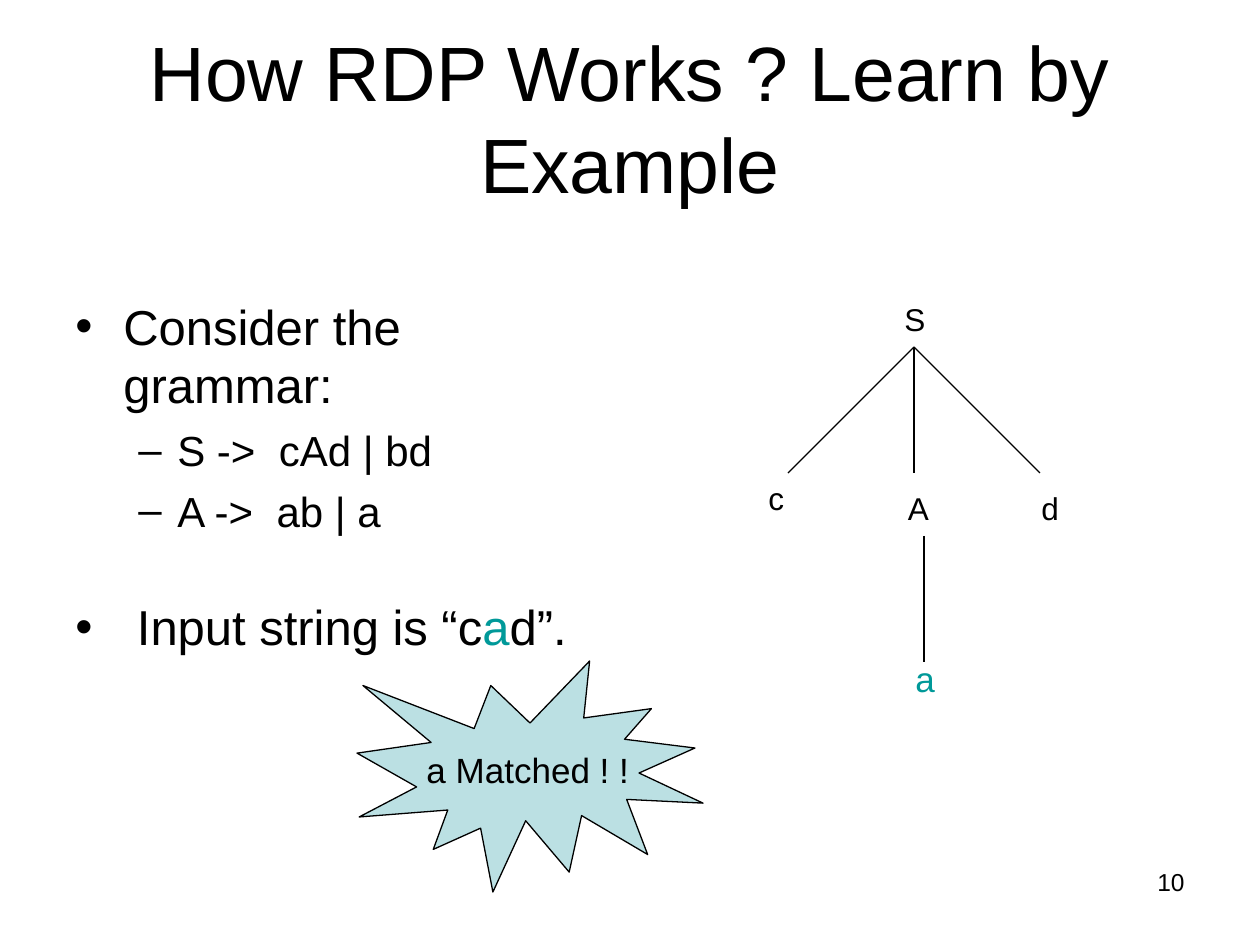
import pptx
import pptx.util
from lxml import etree
from pptx.dml.color import RGBColor
from pptx.enum.shapes import MSO_CONNECTOR, MSO_SHAPE
from pptx.enum.text import MSO_ANCHOR, MSO_AUTO_SIZE, PP_ALIGN
from pptx.oxml.ns import qn

PX_PER_INCH = 126
BLACK, TEAL, PALE = "000000", "009999", "BBE0E3"


def px(n):
    return pptx.util.Emu(round(n * 914400 / PX_PER_INCH))


def rgb(code):
    return RGBColor.from_string(code)


def add_bullet(p, char, left, hang):
    pPr = p._p.get_or_add_pPr()
    pPr.set("marL", str(px(left)))
    pPr.set("indent", str(-px(hang)))
    etree.SubElement(pPr, qn("a:buFont")).set("typeface", "Arial")
    etree.SubElement(pPr, qn("a:buChar")).set("char", char)


def write(tf, *runs, size=18, color=BLACK, align=PP_ALIGN.LEFT, before=0, bullet=None):
    """Add a paragraph; a run is a string or a (string, colour) pair."""
    p = tf.paragraphs[0]
    if p.runs:
        p = tf.add_paragraph()
    if bullet:
        add_bullet(p, *bullet)
    p.alignment = align
    p.space_before = pptx.util.Pt(before)
    for run in runs:
        text, run_color = (run, color) if isinstance(run, str) else run
        r = p.add_run()
        r.text = text
        r.font.name = "Arial"
        r.font.size = pptx.util.Pt(size)
        r.font.color.rgb = rgb(run_color)


def add_box(s, x, y, w, h):
    tf = s.shapes.add_textbox(px(x), px(y), px(w), px(h)).text_frame
    tf.word_wrap = True
    return tf


def add_line(s, x1, y1, x2, y2):
    line = s.shapes.add_connector(MSO_CONNECTOR.STRAIGHT, px(x1), px(y1), px(x2), px(y2))
    line.line.color.rgb = rgb(BLACK)
    line.line.width = pptx.util.Pt(0.75)
    etree.SubElement(line._element.spPr, qn("a:effectLst"))


def add_title(s, text):
    sp = s.shapes.title
    sp.left, sp.top, sp.width, sp.height = px(63), px(38), px(1134), px(158)
    tf = sp.text_frame
    tf.auto_size = MSO_AUTO_SIZE.NONE
    tf.vertical_anchor = MSO_ANCHOR.MIDDLE
    write(tf, text, size=44, align=PP_ALIGN.CENTER)


def add_grammar(s):
    tf = add_box(s, 63, 290, 557, 554)
    point, rule = ("•", 48, 48), ("–", 102, 39)
    write(tf, "Consider the grammar:", size=28, bullet=point)
    for text in ("S ->  cAd | bd", "A ->  ab | a"):
        write(tf, text, size=24, before=6, bullet=rule)
    write(tf, " Input string is “c", ("a", TEAL), "d”.", size=28, before=35, bullet=point)


def add_burst(s, text):
    sp = s.shapes.add_shape(MSO_SHAPE.EXPLOSION1, px(357), px(661), px(346), px(231))
    sp.shadow.inherit = False
    sp.fill.solid()
    sp.fill.fore_color.rgb = rgb(PALE)
    sp.line.color.rgb = rgb(BLACK)
    sp.line.width = pptx.util.Pt(0.75)
    tf = sp.text_frame
    tf.word_wrap = False
    tf.vertical_anchor = MSO_ANCHOR.MIDDLE
    write(tf, text, size=20, align=PP_ALIGN.CENTER)


def add_tree(s):
    root_x, root_y, step = 914, 347, 126
    for side in (-1, 0, 1):
        add_line(s, root_x, root_y, root_x + side * step, root_y + step)
    add_line(s, 924, 536, 924, 536 + step)
    for text, x, y, w, style in (
        ("S", 892, 294, 168, {}),
        ("c", 756, 473, 53, {}),
        ("A", 882, 483, 73, {"align": PP_ALIGN.CENTER}),
        ("d", 1029, 483, 53, {}),
        ("a", 903, 651, 53, {"size": 20, "color": TEAL}),
    ):
        write(add_box(s, x, y, w, 50), text, **style)


def main():
    prs = pptx.Presentation()
    prs.slide_width, prs.slide_height = px(1260), px(945)
    s = prs.slides.add_slide(prs.slide_layouts[5])
    add_title(s, "How RDP Works ? Learn by Example")
    add_grammar(s)
    add_burst(s, "a Matched ! !")
    add_tree(s)
    write(add_box(s, 903, 861, 294, 66), "10", size=14, align=PP_ALIGN.RIGHT)
    prs.save("out.pptx")


if __name__ == "__main__":
    main()
